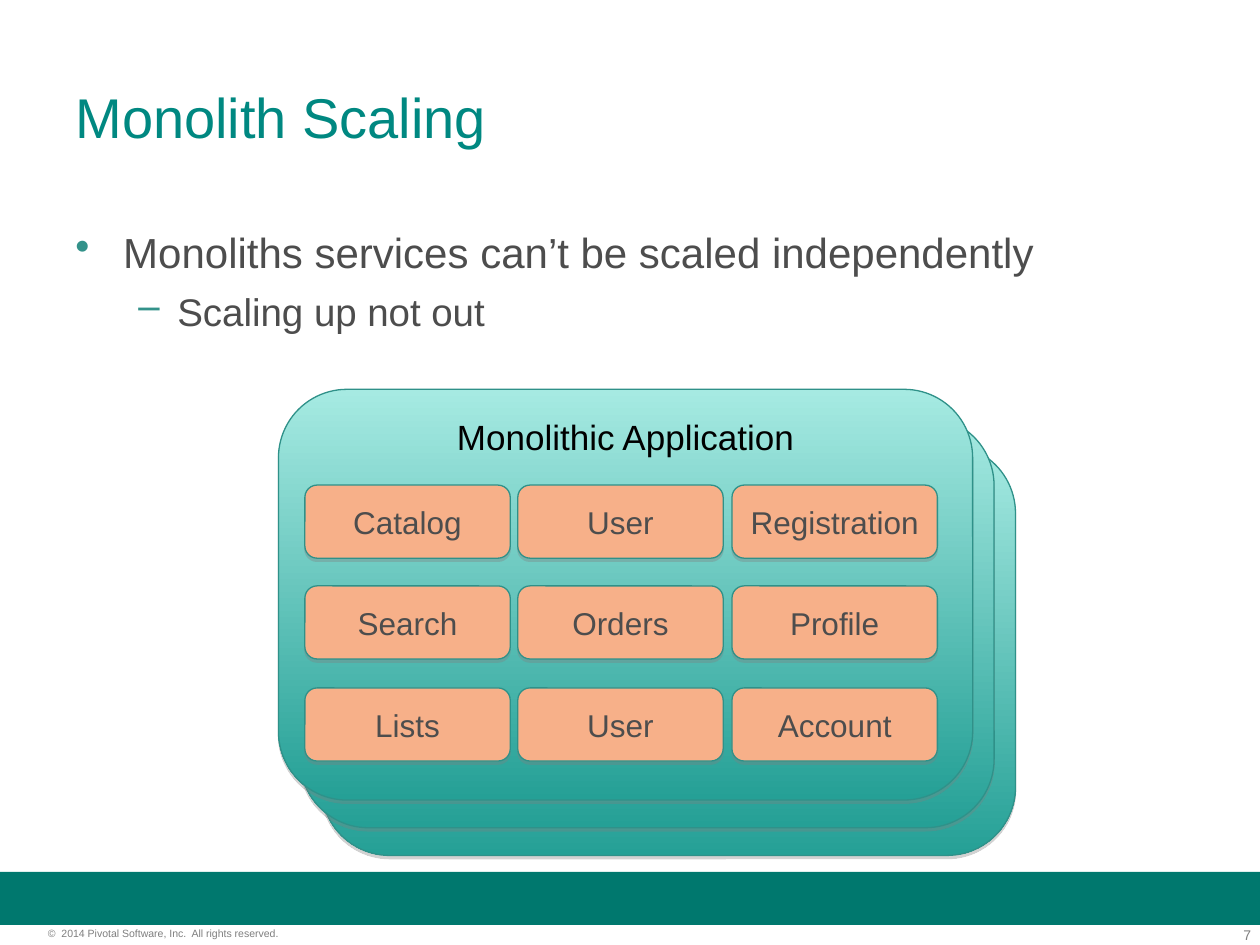
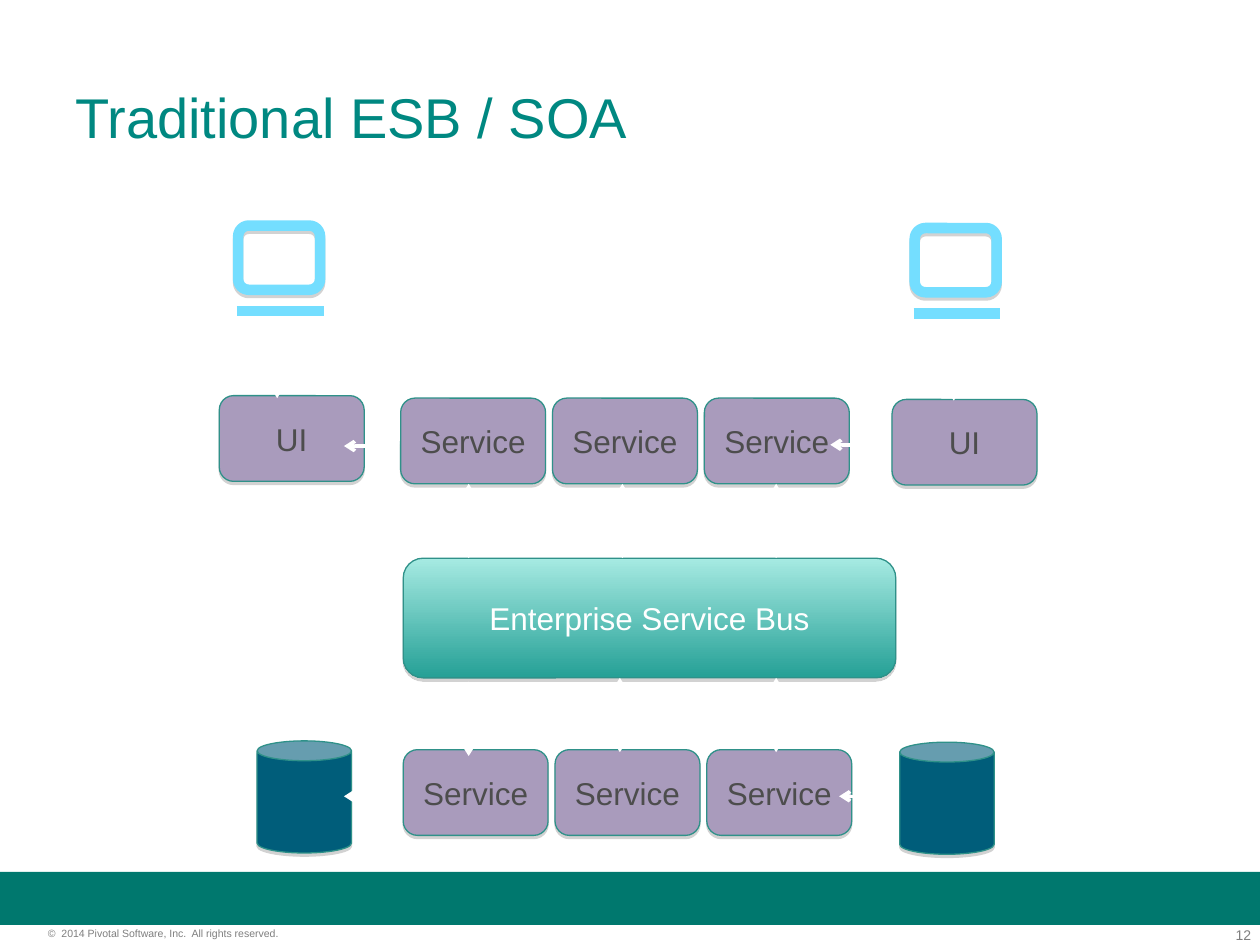
from dataclasses import dataclass
from lxml import etree
from pptx import Presentation
from pptx.dml.color import RGBColor
from pptx.enum import shapes, text
from pptx.oxml import ns
from pptx.util import Inches, Pt


@dataclass(frozen=True)
class Theme:
    font: str = "Arial"
    band: str = "00786E"
    title: str = "008881"
    body: str = "4D4D4D"
    bullet: str = "33928A"
    footer: str = "7F7F7F"
    outline: str = "2F9189"
    shadow: str = "808080"
    gradient: tuple = ("A6EAE2", "25A096")
    module: str = "F7B089"
    service: str = "A99BBC"
    database: str = "005D7A"
    screen: str = "74DEFF"
    white: str = "FFFFFF"
    black: str = "000000"
    title_size: int = 32
    body_sizes: tuple = (24, 22)
    heading_size: int = 20
    label_size: int = 18
    page_size: int = 8
    copyright_size: int = 6


theme = Theme()
rgb = RGBColor.from_string
kinds = shapes.MSO_SHAPE
ROUND = kinds.ROUNDED_RECTANGLE
CENTER, LEFT, RIGHT = text.PP_ALIGN.CENTER, text.PP_ALIGN.LEFT, text.PP_ALIGN.RIGHT
TOP, MIDDLE = text.MSO_ANCHOR.TOP, text.MSO_ANCHOR.MIDDLE


def write(shape, words, size, color, align=LEFT, anchor=TOP, inset=(0.1, 0.05)):
    frame = shape.text_frame
    frame.word_wrap = True
    frame.vertical_anchor = anchor
    frame.margin_left = frame.margin_right = Inches(inset[0])
    frame.margin_top = frame.margin_bottom = Inches(inset[1])
    paragraph = frame.paragraphs[0]
    paragraph.text = words
    paragraph.alignment = align
    paragraph.font.name = theme.font
    paragraph.font.size = Pt(size)
    paragraph.font.color.rgb = rgb(color)


def draw(slide, kind, place, fill, line=theme.outline, weight=0.75):
    shape = slide.shapes.add_shape(kind, *map(Inches, place))
    if fill is None:
        shape.fill.background()
    elif isinstance(fill, tuple):
        shape.fill.gradient()
        shape.fill.gradient_angle = 270
        for stop, color in zip(shape.fill.gradient_stops, fill):
            stop.color.rgb = rgb(color)
    else:
        shape.fill.solid()
        shape.fill.fore_color.rgb = rgb(fill)
    shape.line.color.rgb = rgb(line)
    shape.line.width = Pt(weight)
    shape.shadow.inherit = False
    effects = shape._element.spPr.find(ns.qn("a:effectLst"))
    cast = etree.SubElement(effects, ns.qn("a:outerShdw"), dist=str(Pt(1.8)),
                            dir="5400000", algn="ctr", rotWithShape="0")
    tint = etree.SubElement(cast, ns.qn("a:srgbClr"), val=theme.shadow)
    etree.SubElement(tint, ns.qn("a:alpha"), val="35000")
    return shape


deck = Presentation()
deck.slide_width, deck.slide_height = Inches(10), Inches(7.5)
slides = []
for heading, page in (("Monolith Scaling", "7"), ("Traditional ESB / SOA", "12")):
    slide = deck.slides.add_slide(deck.slide_layouts[6])
    slides.append(slide)
    band = slide.shapes.add_shape(kinds.RECTANGLE, 0, Inches(6.92), Inches(10), Inches(0.42))
    band.fill.solid()
    band.fill.fore_color.rgb = rgb(theme.band)
    band.line.fill.background()
    band.shadow.inherit = False
    number = slide.shapes.add_textbox(*map(Inches, (9.35, 7.35, 0.58, 0.13)))
    write(number, page, theme.page_size, theme.footer, RIGHT, inset=(0, 0))
    rights = slide.shapes.add_textbox(*map(Inches, (0.38, 7.36, 2.49, 0.1)))
    write(rights, "©\u00a0 2014 Pivotal Software, Inc.\u00a0 All rights reserved.".replace("\u00a0", " "),
          theme.copyright_size, theme.footer, inset=(0, 0))
    title = slide.shapes.add_textbox(*map(Inches, (0.5, 0.3, 9, 1.25)))
    write(title, heading, theme.title_size, theme.title, anchor=MIDDLE)

scaling, bus_view = slides

points = scaling.shapes.add_textbox(*map(Inches, (0.5, 1.75, 9, 4.95))).text_frame
points.word_wrap = True
outline = (
    ("Monoliths services can’t be scaled independently", "•", 0.38, 0.38),
    ("Scaling up not out", "–", 0.81, 0.31),
)
for level, (words, mark, margin, hang) in enumerate(outline):
    point = points.add_paragraph() if level else points.paragraphs[0]
    point.text = words
    point.level = level
    properties = point._p.get_or_add_pPr()
    properties.set("marL", str(Inches(margin)))
    properties.set("indent", str(-Inches(hang)))
    bullet_color = etree.SubElement(properties, ns.qn("a:buClr"))
    etree.SubElement(bullet_color, ns.qn("a:srgbClr"), val=theme.bullet)
    etree.SubElement(properties, ns.qn("a:buChar"), char=mark)
    if level:
        point.space_before = Pt(6)
    point.font.name = theme.font
    point.font.size = Pt(theme.body_sizes[level])
    point.font.color.rgb = rgb(theme.body)

for depth in (2, 1, 0):
    application = draw(scaling, ROUND, (2.21 + 0.17 * depth, 3.09 + 0.22 * depth, 5.51, 3.26),
                       theme.gradient)
write(application, "Monolithic Application", theme.heading_size, theme.black, CENTER)

modules = (
    ("Catalog", "User", "Registration"),
    ("Search", "Orders", "Profile"),
    ("Lists", "User", "Account"),
)
for top, names in zip((3.85, 4.65, 5.46), modules):
    for left, name in zip((2.42, 4.11, 5.81), names):
        module = draw(scaling, ROUND, (left, top, 1.63, 0.58), theme.module)
        write(module, name, theme.label_size, theme.body, CENTER, MIDDLE)

bus = draw(bus_view, ROUND, (3.2, 4.43, 3.91, 0.95), theme.gradient)
write(bus, "Enterprise Service Bus", theme.label_size, theme.white, CENTER, MIDDLE)

services = [("Service", left + 1.205 * column, top)
            for left, top in ((3.18, 3.16), (3.2, 5.95)) for column in range(3)]
for name, left, top in services + [("UI", 1.74, 3.14), ("UI", 7.08, 3.17)]:
    service = draw(bus_view, ROUND, (left, top, 1.15, 0.68), theme.service)
    write(service, name, theme.label_size, theme.body, CENTER, MIDDLE)

for left, top in ((1.89, 1.79), (7.26, 1.81)):
    draw(bus_view, ROUND, (left, top, 0.65, 0.51), None, theme.screen, 6)
for left, top in ((7.14, 5.89), (2.04, 5.88)):
    database = draw(bus_view, kinds.CAN, (left, top, 0.75, 0.89), theme.database)
    database.adjustments[0] = 0.21

stands = [(1.88, 2.47, 2.57, 2.47), (7.25, 2.49, 7.94, 2.49)]
vertical_links = [(x, y, x, y + 0.59) for x, y in (
    (3.72, 3.84), (4.94, 3.84), (6.16, 3.84),
    (3.72, 5.41), (4.92, 5.38), (6.16, 5.38),
    (2.2, 2.57), (7.57, 2.59))]
side_links = [(x, y, x - 0.44, y) for x, y in (
    (3.17, 3.54), (7.03, 3.53), (3.17, 6.32), (7.1, 6.32))]
for ends in stands + vertical_links + side_links:
    is_stand = ends in stands
    link = bus_view.shapes.add_connector(shapes.MSO_CONNECTOR.STRAIGHT, *map(Inches, ends))
    link.line.color.rgb = rgb(theme.screen if is_stand else theme.white)
    link.line.width = Pt(6 if is_stand else 2)
    if not is_stand:
        for end in ("a:headEnd", "a:tailEnd"):
            etree.SubElement(link.line._get_or_add_ln(), ns.qn(end), type="arrow")
    etree.SubElement(link._element.spPr, ns.qn("a:effectLst"))

deck.save("out.pptx")
